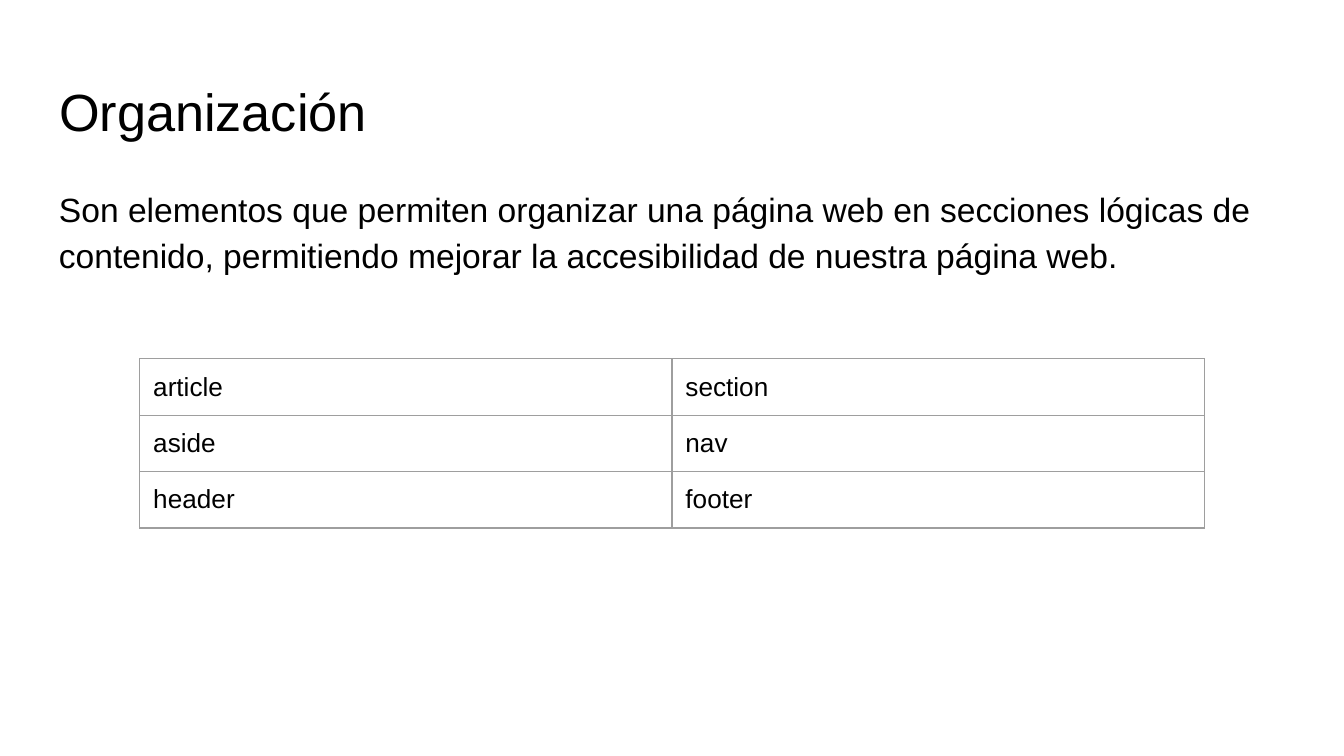
from lxml.etree import SubElement
from pptx import Presentation
from pptx.dml.color import RGBColor
from pptx.enum.text import MSO_ANCHOR as Anchor, MSO_AUTO_SIZE as Fit, PP_ALIGN as Align
from pptx.oxml.ns import qn
from pptx.util import Inches, Pt

BLACK = RGBColor(0x00, 0x00, 0x00)
GREY = RGBColor(0x9E, 0x9E, 0x9E)
FONT = "Arial"
TITLE = "Organización"
INTRO = (
    "Son elementos que permiten organizar una página web en secciones lógicas "
    "de contenido, permitiendo mejorar la accesibilidad de nuestra página web."
)
TAGS = [("article", "section"), ("aside", "nav"), ("header", "footer")]


def set_pads(item):
    """Give a text frame or cell equal margins on all sides."""
    for side in ("left", "right", "top", "bottom"):
        setattr(item, f"margin_{side}", Inches(0.1))


def add_run(para, text, size):
    """Add one left-aligned run in the slide font."""
    para.alignment = Align.LEFT
    run = para.add_run()
    run.text = text
    run.font.name = FONT
    run.font.size = Pt(size)
    run.font.color.rgb = BLACK


def fill_box(box, text, size, top, height, space=1.0):
    """Place a full-width text shape and write its text."""
    box.left, box.top = Inches(0.34), Inches(top)
    box.width, box.height = Inches(9.32), Inches(height)
    frame = box.text_frame
    frame.word_wrap = True
    frame.auto_size = Fit.NONE
    frame.vertical_anchor = Anchor.TOP
    set_pads(frame)
    para = frame.paragraphs[0]
    para.line_spacing = space
    add_run(para, text, size)


def set_edges(cell):
    """Draw thin grey borders around a cell."""
    props = cell._tc.get_or_add_tcPr()
    for spot, name in enumerate(("a:lnL", "a:lnR", "a:lnT", "a:lnB")):
        line = SubElement(props, qn(name), w=str(Pt(0.75)))
        fill = SubElement(line, qn("a:solidFill"))
        SubElement(fill, qn("a:srgbClr"), val=str(GREY))
        props.insert(spot, line)


def add_grid(slide, rows):
    """Add the table of tag names."""
    count, wide = len(rows), len(rows[0])
    frame = slide.shapes.add_table(
        count, wide, Inches(1.04), Inches(2.67), Inches(3.96 * wide), Inches(0.42 * count)
    )
    table = frame.table
    table.first_row = False
    table.horz_banding = False
    for row, names in zip(table.rows, rows):
        for cell, name in zip(row.cells, names):
            set_pads(cell)
            cell.fill.background()
            set_edges(cell)
            add_run(cell.text_frame.paragraphs[0], name, 14)


def main():
    """Build the slide and save it."""
    deck = Presentation()
    deck.slide_width = Inches(10)
    deck.slide_height = deck.slide_width * 9 // 16
    slide = deck.slides.add_slide(deck.slide_layouts[5])
    fill_box(slide.shapes.title, TITLE, 28, 0.49, 0.63)
    intro = slide.shapes.add_textbox(0, 0, 0, 0)
    fill_box(intro, INTRO, 18, 1.26, 3.74, 1.15)
    add_grid(slide, TAGS)
    deck.save("out.pptx")


if __name__ == "__main__":
    main()
